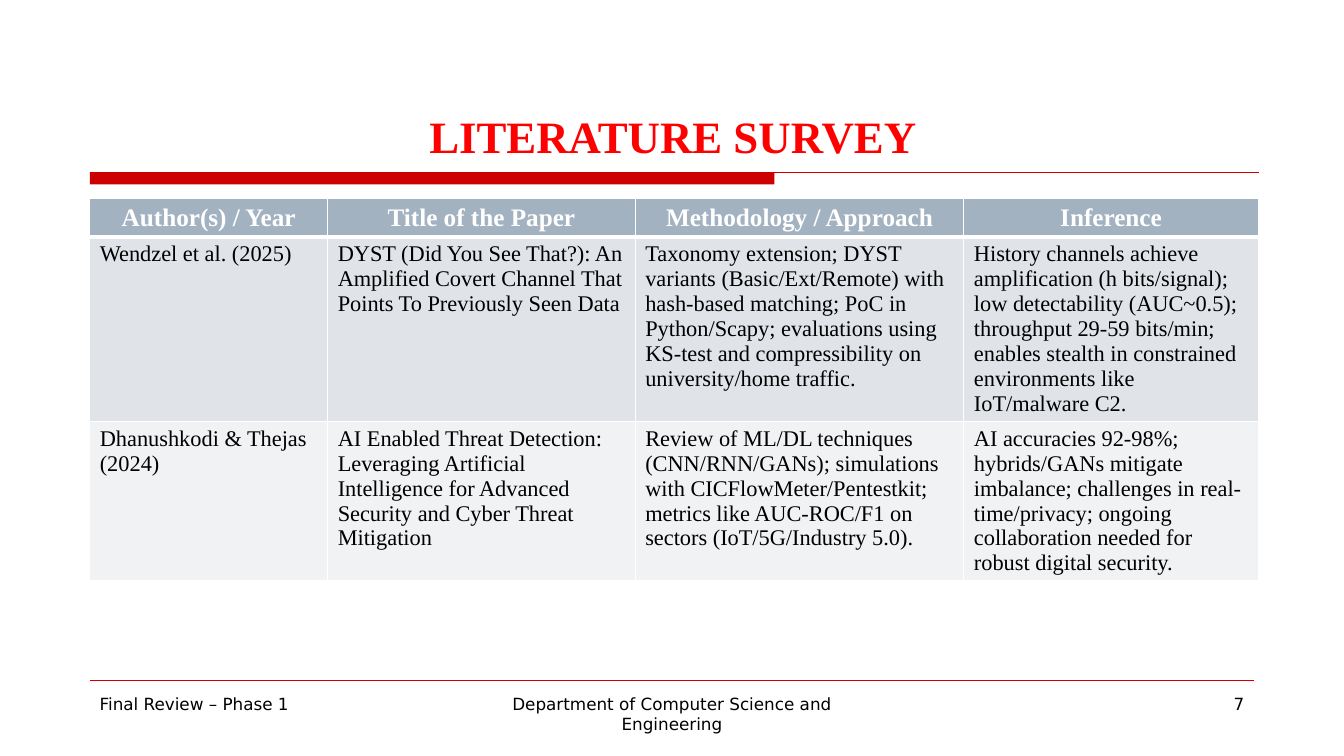
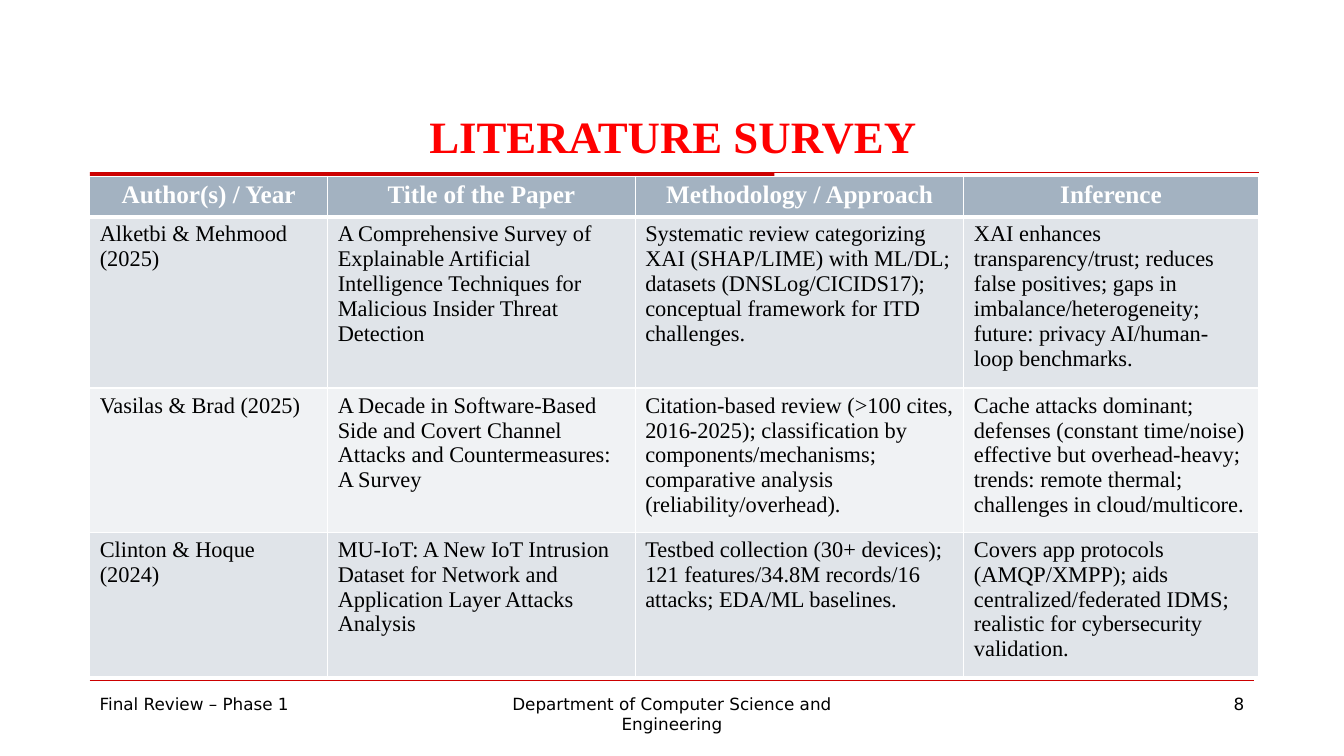
from lxml import etree
from pptx import Presentation
from pptx.dml.color import RGBColor
from pptx.enum import shapes, text
from pptx.oxml import ns
from pptx.util import Inches, Pt

COLORS = {
    "title": "FF0000",
    "rule": "CC0000",
    "header": "A3B2C1",
    "band_dark": "E0E4E9",
    "band_light": "F0F2F4",
    "white": "FFFFFF",
    "text": "000000",
}
SERIF, SANS = "Times New Roman", "DejaVu Sans"
LEFT = 0.89
TITLE_ONLY = 5

COLUMN_WIDTHS = [2.36, 3.05, 3.26, 2.92]
HEADINGS = ["Author(s) / Year", "Title of the Paper", "Methodology / Approach", "Inference"]

# Each survey page: number, table top, row heights, papers
SURVEY_PAGES = [
    (7, 1.97, [0.38, 1.83, 1.58], [
        ["Wendzel et al. (2025)",
         "DYST (Did You See That?): An Amplified Covert Channel That Points To "
         "Previously Seen Data",
         "Taxonomy extension; DYST variants (Basic/Ext/Remote) with hash-based matching; "
         "PoC in Python/Scapy; evaluations using KS-test and compressibility on "
         "university/home traffic.",
         "History channels achieve amplification (h bits/signal); low detectability "
         "(AUC~0.5); throughput 29-59 bits/min; enables stealth in constrained "
         "environments like IoT/malware C2."],
        ["Dhanushkodi & Thejas (2024)",
         "AI Enabled Threat Detection: Leveraging Artificial Intelligence for Advanced "
         "Security and Cyber Threat Mitigation",
         "Review of ML/DL techniques (CNN/RNN/GANs); simulations with "
         "CICFlowMeter/Pentestkit; metrics like AUC-ROC/F1 on sectors "
         "(IoT/5G/Industry 5.0).",
         "AI accuracies 92-98%; hybrids/GANs mitigate imbalance; challenges in "
         "real-time/privacy; ongoing collaboration needed for robust digital security."],
    ]),
    (8, 1.75, [0.4, 1.7, 1.43, 1.43], [
        ["Alketbi & Mehmood (2025)",
         "A Comprehensive Survey of Explainable Artificial Intelligence Techniques for "
         "Malicious Insider Threat Detection",
         "Systematic review categorizing XAI (SHAP/LIME) with ML/DL; datasets "
         "(DNSLog/CICIDS17); conceptual framework for ITD challenges.",
         "XAI enhances transparency/trust; reduces false positives; gaps in "
         "imbalance/heterogeneity; future: privacy AI/human-loop benchmarks."],
        ["Vasilas & Brad (2025)",
         "A Decade in Software-Based Side and Covert Channel Attacks and "
         "Countermeasures: A Survey",
         "Citation-based review (>100 cites, 2016-2025); classification by "
         "components/mechanisms; comparative analysis (reliability/overhead).",
         "Cache attacks dominant; defenses (constant time/noise) effective but "
         "overhead-heavy; trends: remote thermal; challenges in cloud/multicore."],
        ["Clinton & Hoque (2024)",
         "MU-IoT: A New IoT Intrusion Dataset for Network and Application Layer "
         "Attacks Analysis",
         "Testbed collection (30+ devices); 121 features/34.8M records/16 attacks; "
         "EDA/ML baselines.",
         "Covers app protocols (AMQP/XMPP); aids centralized/federated IDMS; realistic "
         "for cybersecurity validation."],
    ]),
]


def rgb(name):
    return RGBColor.from_string(COLORS[name])


def style_paragraph(paragraph, font_name, size, color, align, bold=False):
    paragraph.alignment = align
    font = paragraph.font
    font.name, font.size, font.bold = font_name, Pt(size), bold
    font.color.rgb = rgb(color)


def add_rule(slide, left, top, width, weight):
    rule = slide.shapes.add_connector(
        shapes.MSO_CONNECTOR.STRAIGHT,
        Inches(left), Inches(top), Inches(left + width), Inches(top))
    rule.line.color.rgb = rgb("rule")
    rule.line.width = Pt(weight)
    etree.SubElement(rule._element.spPr, ns.qn("a:effectLst"))


def add_title(slide, left, top, width, height, wording):
    title = slide.shapes.title
    title.left, title.top = Inches(left), Inches(top)
    title.width, title.height = Inches(width), Inches(height)
    frame = title.text_frame
    frame.text = wording
    frame.auto_size = text.MSO_AUTO_SIZE.NONE
    frame.vertical_anchor = text.MSO_ANCHOR.BOTTOM
    style_paragraph(frame.paragraphs[0], SERIF, 32, "title", text.PP_ALIGN.CENTER, True)


def add_title_band(slide, left, top, width, band_width):
    band = slide.shapes.add_shape(
        shapes.MSO_SHAPE.RECTANGLE,
        Inches(left), Inches(top), Inches(band_width), Inches(0.12))
    band.shadow.inherit = False
    band.fill.solid()
    band.fill.fore_color.rgb = rgb("rule")
    band.line.fill.background()
    add_rule(slide, left, top, width, 0.75)


def add_footer(slide, left, top, width, number):
    add_rule(slide, left, top, width, 0.25)
    side, middle = 2.89, 4.22
    parts = [
        (left, side, "Final Review – Phase 1", text.PP_ALIGN.LEFT),
        (left + (width - middle) / 2, middle,
         "Department of Computer Science and Engineering", text.PP_ALIGN.CENTER),
        (left + width - side, side, str(number), text.PP_ALIGN.RIGHT),
    ]
    for part_left, part_width, wording, align in parts:
        part = slide.shapes.add_textbox(
            Inches(part_left), Inches(top + 0.08), Inches(part_width), Inches(0.52))
        frame = part.text_frame
        frame.word_wrap = True
        frame.text = wording
        style_paragraph(frame.paragraphs[0], SANS, 12, "text", align)


def set_borders(cell, **weights):
    properties = cell._tc.get_or_add_tcPr()
    for side in "LRTB":
        border = etree.SubElement(properties, ns.qn(f"a:ln{side}"),
                                  w=str(Pt(weights.get(side, 1))))
        fill = etree.SubElement(border, ns.qn("a:solidFill"))
        etree.SubElement(fill, ns.qn("a:srgbClr"), val=COLORS["white"])


def format_cell(cell, row):
    # Borders come before the fill in the cell properties
    if row == 0:
        set_borders(cell, B=3)
        fill, style = "header", (18, "white", text.PP_ALIGN.CENTER, True)
    else:
        set_borders(cell, T=3 if row == 1 else 1)
        fill = "band_dark" if row % 2 else "band_light"
        style = (16, "text", text.PP_ALIGN.LEFT)
    cell.fill.solid()
    cell.fill.fore_color.rgb = rgb(fill)
    style_paragraph(cell.text_frame.paragraphs[0], SERIF, *style)


def add_survey_table(slide, left, top, row_heights, papers):
    rows = [HEADINGS] + papers
    survey = slide.shapes.add_table(
        len(rows), len(HEADINGS), Inches(left), Inches(top),
        Inches(sum(COLUMN_WIDTHS)), Inches(sum(row_heights))).table
    for column, width in zip(survey.columns, COLUMN_WIDTHS):
        column.width = Inches(width)
    for r, (height, entries) in enumerate(zip(row_heights, rows)):
        survey.rows[r].height = Inches(height)
        for c, entry in enumerate(entries):
            cell = survey.cell(r, c)
            cell.text = entry
            format_cell(cell, r)


def add_survey_slide(deck, number, table_top, row_heights, papers):
    slide = deck.slides.add_slide(deck.slide_layouts[TITLE_ONLY])
    add_title(slide, 0.84, 0.33, 11.67, 1.33, "LITERATURE SURVEY")
    add_title_band(slide, LEFT, 1.71, 11.6, 6.79)
    add_survey_table(slide, LEFT, table_top, row_heights, papers)
    add_footer(slide, LEFT, 6.75, 11.55, number)


def main():
    deck = Presentation()
    deck.slide_width, deck.slide_height = Inches(13.33), Inches(7.5)
    for page in SURVEY_PAGES:
        add_survey_slide(deck, *page)
    deck.save("out.pptx")


if __name__ == "__main__":
    main()
